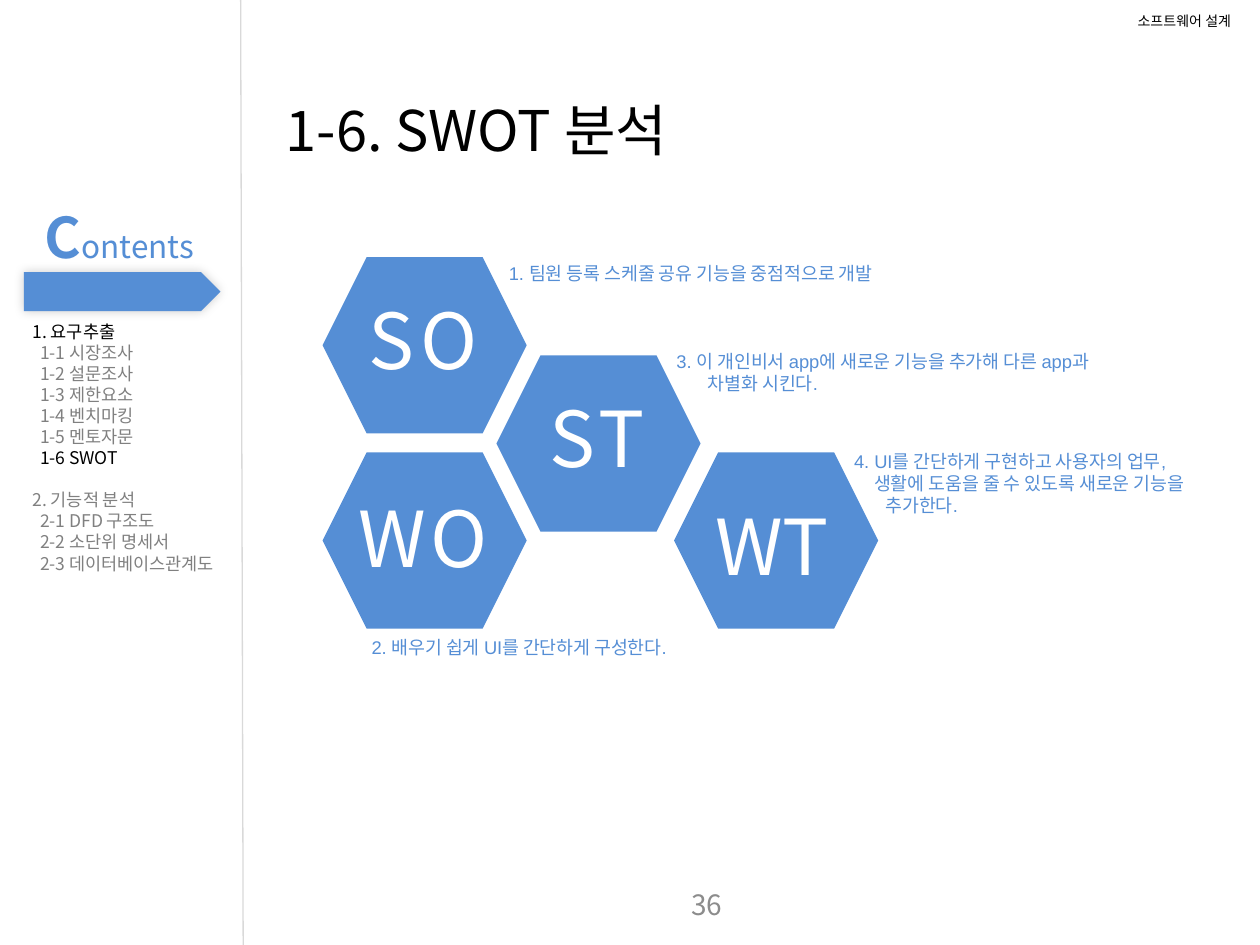
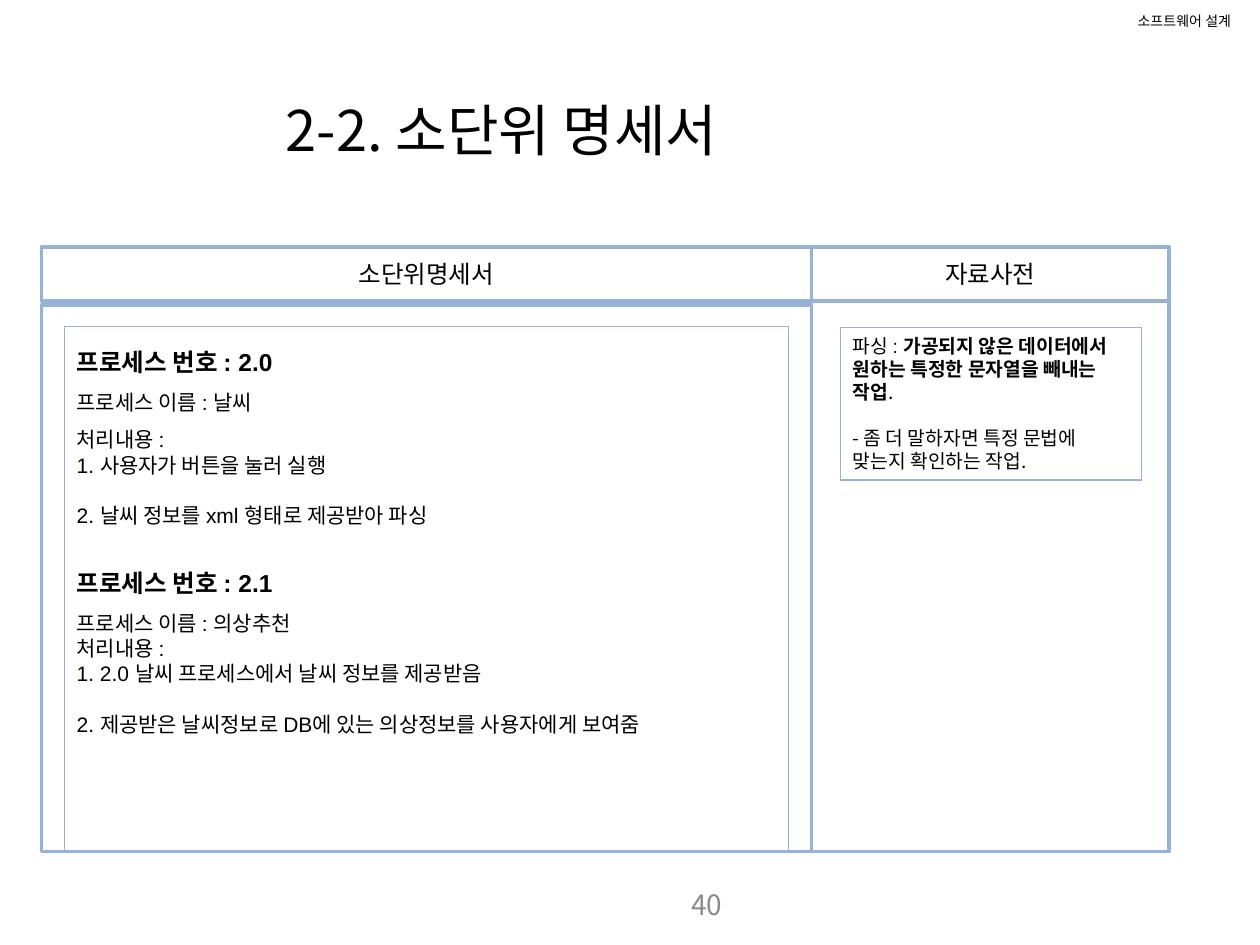
"""Builds the SWOT analysis and process specification slides."""
from dataclasses import dataclass

from lxml import etree
from pptx import Presentation
from pptx import util as u
from pptx.dml.color import RGBColor
from pptx.enum import shapes, text
from pptx.oxml import ns


@dataclass(frozen=True)
class Theme:
    """Colours, fonts and type sizes of the presentation."""
    blue: str = "558ED5"
    frame: str = "95B3D7"
    white: str = "FFFFFF"
    black: str = "000000"
    gray: str = "808080"
    number: str = "8C8C8C"
    divider: str = "D9D9D9"
    sans: str = "Noto Sans CJK KR"
    body: str = "Arial"
    tag: float = 8
    menu: float = 10
    note: float = 10.5
    small: float = 11
    text: float = 12
    heading: float = 14
    page: float = 16
    contents: float = 18
    title: float = 32
    letter: float = 44


@dataclass
class Run:
    """A piece of text in one style."""
    text: str
    size: float
    color: str = Theme.black
    font: str = Theme.sans
    bold: bool = False


@dataclass
class Paragraph:
    """Runs with their paragraph layout."""
    runs: list
    align: text.PP_ALIGN = text.PP_ALIGN.LEFT
    spacing: float = None
    before: float = 0
    margin: float = 0
    indent: float = 0


class Deck:
    """Holds the theme and the current slide, and draws each kind of element."""

    def __init__(self):
        self.theme = Theme()
        self.presentation = Presentation()
        self.presentation.slide_width = u.Inches(10)
        self.presentation.slide_height = u.Inches(7.5)
        self.slide = None

    def add_slide(self, title, number):
        """Starts a slide with its title, course tag and page number."""
        theme = self.theme
        self.slide = self.presentation.slides.add_slide(self.presentation.slide_layouts[6])
        self.text_box((2.17, 0.71, 4.24, 0.64), [Paragraph([Run(title, theme.title)])])
        self.text_box((8.93, 0.05, 1.01, 0.24),
                      [Paragraph([Run("소프트웨어 설계", theme.tag)])], wrap=False)
        page = Paragraph([Run(str(number), theme.page, theme.number)], text.PP_ALIGN.RIGHT)
        self.text_box((3.5, 6.98, 2.33, 0.4), [page], anchor=text.MSO_ANCHOR.MIDDLE)

    def fill_text(self, frame, paragraphs):
        """Fills a text frame run by run."""
        for index, content in enumerate(paragraphs):
            paragraph = frame.add_paragraph() if index else frame.paragraphs[0]
            paragraph.alignment = content.align
            paragraph.line_spacing = content.spacing
            paragraph.space_before = u.Pt(content.before)
            properties = paragraph._p.get_or_add_pPr()
            properties.set("marL", str(u.Inches(content.margin)))
            properties.set("indent", str(u.Inches(content.indent)))
            for piece in content.runs:
                run = paragraph.add_run()
                run.text = piece.text
                run.font.size = u.Pt(piece.size)
                run.font.bold = piece.bold
                run.font.name = piece.font
                run.font.color.rgb = RGBColor.from_string(piece.color)
                east_asian = etree.SubElement(run._r.get_or_add_rPr(), ns.qn("a:ea"))
                east_asian.set("typeface", self.theme.sans)

    def text_box(self, box, paragraphs, wrap=True, anchor=text.MSO_ANCHOR.TOP):
        """Adds a text box."""
        frame = self.slide.shapes.add_textbox(*map(u.Inches, box)).text_frame
        frame.word_wrap = wrap
        frame.vertical_anchor = anchor
        if anchor == text.MSO_ANCHOR.TOP:
            frame.auto_size = text.MSO_AUTO_SIZE.SHAPE_TO_FIT_TEXT
        self.fill_text(frame, paragraphs)

    def shape(self, kind, box, fill=None, line=None, width=2):
        """Adds a preset shape without shadow."""
        shape = self.slide.shapes.add_shape(kind, *map(u.Inches, box))
        shape.shadow.inherit = False
        if fill:
            shape.fill.solid()
            shape.fill.fore_color.rgb = RGBColor.from_string(fill)
        else:
            shape.fill.background()
        if line:
            shape.line.color.rgb = RGBColor.from_string(line)
            shape.line.width = u.Pt(width)
        else:
            shape.line.fill.background()
        return shape

    def panel(self, box, paragraphs=(), outlined_only=False, inset=0.1,
              anchor=text.MSO_ANCHOR.TOP):
        """Adds a framed rectangle with optional text."""
        theme = self.theme
        shape = self.shape(shapes.MSO_SHAPE.RECTANGLE, box,
                           None if outlined_only else theme.white, theme.frame,
                           0.75 if outlined_only else 2)
        frame = shape.text_frame
        frame.word_wrap = True
        frame.vertical_anchor = anchor
        frame.margin_left = frame.margin_right = u.Inches(inset)
        frame.margin_top = frame.margin_bottom = u.Inches(min(inset, 0.05))
        self.fill_text(frame, paragraphs)

    def header(self, box, label):
        """Adds a centred column header."""
        content = Paragraph([Run(label, self.theme.heading)], text.PP_ALIGN.CENTER)
        self.panel(box, [content], inset=0.02, anchor=text.MSO_ANCHOR.MIDDLE)

    def hexagon(self, left, top, letters):
        """Adds a hexagon and its large letters, placed relative to it."""
        self.shape(shapes.MSO_SHAPE.HEXAGON, (left, top, 1.62, 1.4), self.theme.blue)
        for letter, across, down in letters:
            content = Paragraph([Run(letter, self.theme.letter, self.theme.white)])
            self.text_box((left + across, top + down, 0.86, 0.84), [content])

    def note(self, box, *lines):
        """Adds a blue strategy note with hanging indents."""
        theme = self.theme
        self.text_box(box, [Paragraph([Run(line, theme.note, theme.blue, theme.body)],
                                      margin=0.25, indent=indent) for line, indent in lines])

    def divider(self, start, end):
        """Adds a thin straight line."""
        line = self.slide.shapes.add_connector(shapes.MSO_CONNECTOR.STRAIGHT,
                                               *map(u.Inches, start + end))
        line.line.color.rgb = RGBColor.from_string(self.theme.divider)
        line.line.width = u.Pt(0.75)
        etree.SubElement(line._element.spPr, ns.qn("a:effectLst"))

    def arrow_band(self, box):
        """Adds the contents band with a soft shadow."""
        band = self.shape(shapes.MSO_SHAPE.PENTAGON, box, self.theme.blue)
        effects = band._element.spPr.find(ns.qn("a:effectLst"))
        shadow = etree.SubElement(effects, ns.qn("a:outerShdw"), blurRad=str(u.Pt(6)),
                                  dist="0", dir=str(315 * 60000))
        color = etree.SubElement(shadow, ns.qn("a:srgbClr"), val=self.theme.black)
        etree.SubElement(color, ns.qn("a:alpha"), val="20000")

    def sidebar(self, sections, current):
        """Adds the contents list with the current entries in black."""
        theme = self.theme
        self.divider((1.93, 7.5), (1.91, 0))
        self.arrow_band((0.19, 2.16, 1.56, 0.31))
        heading = [Run("C", theme.title, theme.blue, bold=True),
                   Run("ontents", theme.contents, theme.blue)]
        self.text_box((0.14, 1.56, 1.5, 0.64), [Paragraph(heading, text.PP_ALIGN.RIGHT)],
                      wrap=False)
        entries = []
        for order, (section, items) in enumerate(sections):
            for entry in (section, *items):
                color = theme.black if entry in current else theme.gray
                first = entry == section
                entries.append(Paragraph([Run(entry, theme.menu, color)],
                                         before=12 if first and order else 0,
                                         margin=0 if first else 0.06))
        self.text_box((0.16, 2.5, 2.68, 2.29), entries)


def swot_slide(deck):
    """Draws the SWOT strategies."""
    deck.add_slide("1-6. SWOT 분석", 36)
    deck.sidebar([
        ("1. 요구추출", ["1-1 시장조사", "1-2 설문조사", "1-3 제한요소", "1-4 벤치마킹",
                     "1-5 멘토자문", "1-6 SWOT"]),
        ("2. 기능적 분석", ["2-1 DFD 구조도", "2-2 소단위 명세서", "2-3 데이터베이스관계도"]),
    ], {"1. 요구추출", "1-6 SWOT"})
    for left, top, letters in (
        (2.56, 2.04, [("S", 0.27, 0.23), ("O", 0.68, 0.23)]),
        (3.94, 2.82, [("S", 0.32, 0.23), ("T", 0.71, 0.23)]),
        (5.35, 3.59, [("W", 0.23, 0.32), ("T", 0.76, 0.32)]),
        (2.56, 3.59, [("W", 0.19, 0.25), ("O", 0.76, 0.25)]),
    ):
        deck.hexagon(left, top, letters)
    hanging = -0.25
    deck.note((3.94, 2.03, 3.52, 0.28), ("1. 팀원 등록 스케줄 공유 기능을 중점적으로 개발", hanging))
    deck.note((2.85, 5, 2.85, 0.28), ("2. 배우기 쉽게 UI를 간단하게 구성한다.", hanging))
    deck.note((5.27, 2.73, 3.75, 0.45),
              ("3. 이 개인비서 app에 새로운 기능을 추가해 다른 app과 차별화 시킨다.", hanging))
    deck.note((6.68, 3.52, 3.12, 0.63),
              ("4. UI를 간단하게 구현하고 사용자의 업무,", hanging),
              ("생활에 도움을 줄 수 있도록 새로운 기능을 추가한다.", -0.09))


def specification_slide(deck):
    """Draws the process specification and its data dictionary."""
    theme = deck.theme
    deck.add_slide("2-2. 소단위 명세서", 40)

    def line(content, spacing=None, before=0, size=theme.text, bold=False):
        """Makes one specification line."""
        return Paragraph([Run(content, size, font=theme.body, bold=bold)],
                         spacing=spacing, before=before)

    def process_title(number, before=0):
        """Makes the bold line that opens a process."""
        return line(f"프로세스 번호 : {number}", 1.5, before, theme.heading, True)

    gap = 14.5
    deck.panel((0.33, 2.42, 6.11, 4.34))
    deck.panel((0.51, 2.59, 5.75, 4.17), [
        process_title("2.0"),
        line("프로세스 이름 : 날씨", 1.5),
        line("처리내용 :", 1.5),
        line("1. 사용자가 버튼을 눌러 실행"),
        line("2. 날씨 정보를 xml 형태로 제공받아 파싱", before=gap),
        process_title("2.1", gap),
        line("프로세스 이름 : 의상추천", 1.5),
        line("처리내용 :"),
        line("1. 2.0 날씨 프로세스에서 날씨 정보를 제공받음"),
        line("2. 제공받은 날씨정보로 DB에 있는 의상정보를 사용자에게 보여줌", before=gap),
    ], outlined_only=True)
    deck.header((0.33, 1.96, 6.11, 0.43), "소단위명세서")
    deck.panel((6.44, 2.39, 2.84, 4.37))
    deck.header((6.44, 1.96, 2.84, 0.43), "자료사전")
    definition = Paragraph([
        Run("파싱 : ", theme.small, font=theme.body),
        Run("가공되지 않은 데이터에서 원하는 특정한 문자열을 빼내는 작업", theme.small, bold=True),
        Run(".", theme.small),
    ])
    detail = Paragraph([Run("- 좀 더 말하자면 특정 문법에 맞는지 확인하는 작업.", theme.small)],
                       before=13)
    deck.panel((6.67, 2.6, 2.39, 1.21), [definition, detail], outlined_only=True)


def main():
    """Builds and saves the presentation."""
    deck = Deck()
    swot_slide(deck)
    specification_slide(deck)
    deck.presentation.save("out.pptx")


if __name__ == "__main__":
    main()
